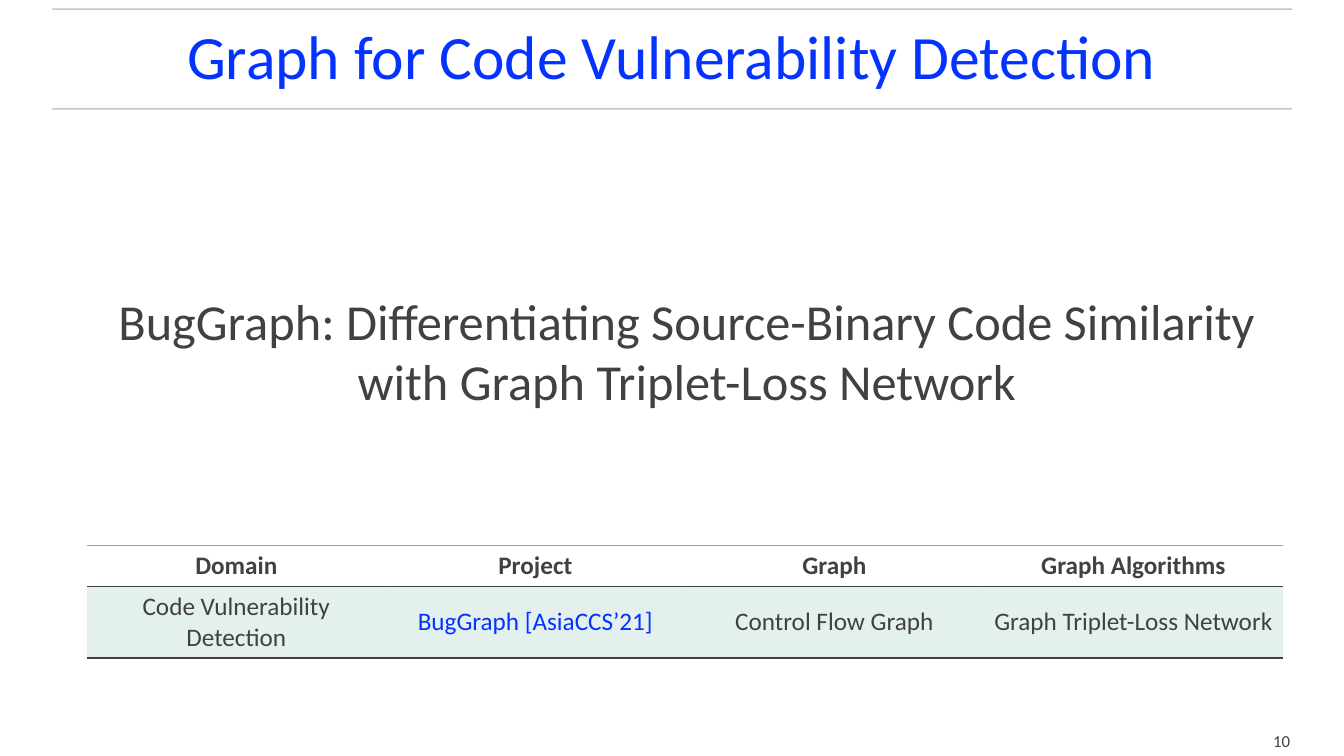
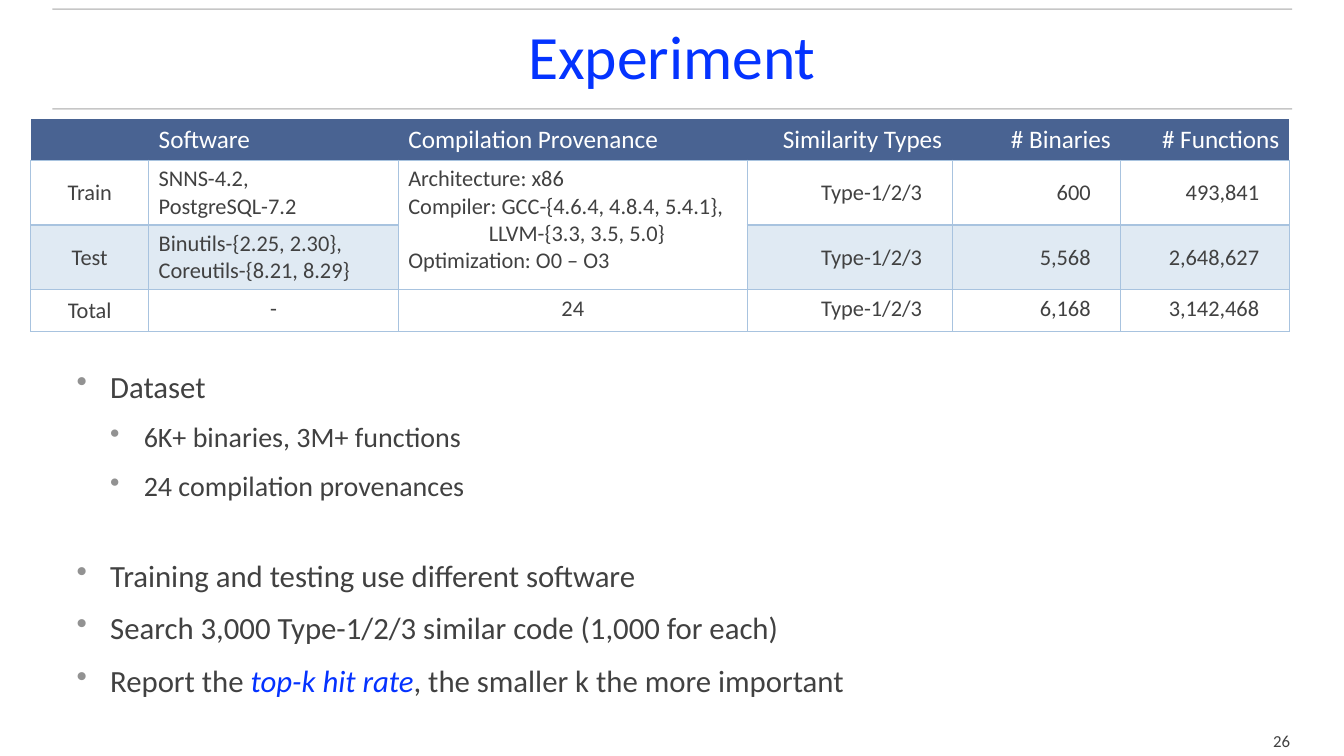
from dataclasses import dataclass
from typing import Any, NamedTuple, Optional

from lxml.etree import SubElement
from pptx import Presentation
from pptx.dml.color import RGBColor
from pptx.enum.shapes import MSO_CONNECTOR
from pptx.enum.text import MSO_ANCHOR, PP_ALIGN
from pptx.oxml.ns import qn
from pptx.util import Pt

# Shared style
FONT = "Calibri"
WHITE = RGBColor(0xFF, 0xFF, 0xFF)
TEXT = RGBColor(0x41, 0x41, 0x41)
TITLE_BLUE = RGBColor(0x04, 0x33, 0xFF)
ACCENT_BLUE = RGBColor(0x04, 0x32, 0xFF)
RULE = RGBColor(0x44, 0x44, 0x44)
BULLET = RGBColor(0x92, 0x92, 0x92)
TEAL = RGBColor(0x74, 0xB6, 0xA8)
TABLE_TOP = RGBColor(0xA0, 0xA0, 0xA0)
NAVY = RGBColor(0x49, 0x63, 0x92)
LIGHT_BLUE = RGBColor(0xA8, 0xC3, 0xDF)

SLIDE_WIDTH, SLIDE_HEIGHT = 960, 540
RULE_LEFT, RULE_RIGHT = 37.5, 923
RULE_TOPS = (6.5, 77.8)
BULLET_INDENT = 24
NO_GRID_STYLE = "{2D5ABB26-0587-4C30-8999-92F81FD0307C}"
LEFT, CENTER, RIGHT = PP_ALIGN.LEFT, PP_ALIGN.CENTER, PP_ALIGN.RIGHT
TOP, MIDDLE = MSO_ANCHOR.TOP, MSO_ANCHOR.MIDDLE


class Box(NamedTuple):
    left: float
    top: float
    width: float
    height: float


class Span(NamedTuple):
    text: str
    color: RGBColor = TEXT
    italic: bool = False


@dataclass
class Bullet:
    spans: list[Span]
    level: int = 0
    size: float = 22
    space_before: float = 11


@dataclass
class Fill:
    color: RGBColor
    opacity: int = 100


@dataclass
class Cell:
    lines: list[str]
    align: PP_ALIGN = LEFT
    anchor: MSO_ANCHOR = TOP
    size: float = 16
    color: RGBColor = TEXT
    bold: bool = False
    margin_right: float = 7.2
    indented_line: int = -1
    fill: Optional[Fill] = None
    borders: Optional[dict[str, RGBColor]] = None


TITLE_BOX = Box(37.5, 9.4, 885, 65.5)
NUMBER_BOX = Box(897.8, 517.7, 35.3, 21.6)


# Drawing helpers
def apply_format(target: Any, values: dict[str, Any]) -> None:
    for name, value in values.items():
        setattr(target, name, value)


def set_opacity(color_parent: Any, percent: int) -> None:
    color = next(color_parent.iter(qn("a:srgbClr")))
    SubElement(color, qn("a:alpha"), val=str(percent * 1000))


def add_span(paragraph: Any, span: Span, size: float, bold: bool = False) -> None:
    run = paragraph.add_run()
    run.text = span.text
    apply_format(run.font, {"name": FONT, "size": Pt(size), "bold": bold, "italic": span.italic})
    run.font.color.rgb = span.color


def add_text_frame(slide: Any, box: Box, anchor: MSO_ANCHOR, margin: float) -> Any:
    frame = slide.shapes.add_textbox(*map(Pt, box)).text_frame
    sides = ("left", "top", "right", "bottom")
    apply_format(frame, {"word_wrap": True, "vertical_anchor": anchor}
                 | {f"margin_{side}": Pt(margin) for side in sides})
    return frame


def add_centered_text(slide: Any, box: Box, span: Span, size: float,
                      anchor: MSO_ANCHOR = MIDDLE, line_spacing: float = 1.0) -> None:
    paragraph = add_text_frame(slide, box, anchor, 4).paragraphs[0]
    apply_format(paragraph, {"alignment": CENTER, "line_spacing": line_spacing})
    add_span(paragraph, span, size)


def add_rule(slide: Any, top: float) -> None:
    rule = slide.shapes.add_connector(
        MSO_CONNECTOR.STRAIGHT, Pt(RULE_LEFT), Pt(top), Pt(RULE_RIGHT), Pt(top))
    rule.line.color.rgb = RULE
    rule.line.width = Pt(1)
    properties = rule.element.spPr
    set_opacity(properties, 30)
    SubElement(properties, qn("a:effectLst"))


def add_base_slide(presentation: Any, title: str, number: str) -> Any:
    slide = presentation.slides.add_slide(presentation.slide_layouts[6])
    for top in RULE_TOPS:
        add_rule(slide, top)
    add_centered_text(slide, TITLE_BOX, Span(title, TITLE_BLUE), 44, line_spacing=0.9)
    add_centered_text(slide, NUMBER_BOX, Span(number), 12, anchor=TOP)
    return slide


def add_bullets(slide: Any, box: Box, bullets: list[Bullet]) -> None:
    frame = add_text_frame(slide, box, TOP, 4.3)
    for index, bullet in enumerate(bullets):
        paragraph = frame.add_paragraph() if index else frame.paragraphs[0]
        properties = paragraph._p.get_or_add_pPr()
        properties.set("marL", str(Pt(BULLET_INDENT * (bullet.level + 1))))
        properties.set("indent", str(-Pt(BULLET_INDENT)))
        color = SubElement(properties, qn("a:buClr"))
        SubElement(color, qn("a:srgbClr"), val=str(BULLET))
        SubElement(properties, qn("a:buChar"), char="•")
        if index:
            paragraph.space_before = Pt(bullet.space_before)
        for span in bullet.spans:
            add_span(paragraph, span, bullet.size)


def add_border(cell: Any, side: str, color: RGBColor) -> None:
    line = SubElement(cell._tc.get_or_add_tcPr(), qn(f"a:ln{side}"), w=str(Pt(1)))
    fill = SubElement(line, qn("a:solidFill"))
    SubElement(fill, qn("a:srgbClr"), val=str(color))


def fill_cell(cell: Any, content: Cell) -> None:
    apply_format(cell, {"vertical_anchor": content.anchor,
                        "margin_right": Pt(content.margin_right)})
    for side in "LRTB":
        if content.borders and side in content.borders:
            add_border(cell, side, content.borders[side])
    if content.fill:
        cell.fill.solid()
        cell.fill.fore_color.rgb = content.fill.color
        if content.fill.opacity < 100:
            set_opacity(cell._tc.tcPr.find(qn("a:solidFill")), content.fill.opacity)
    else:
        cell.fill.background()
    frame = cell.text_frame
    for index, text in enumerate(content.lines):
        paragraph = frame.add_paragraph() if index else frame.paragraphs[0]
        paragraph.alignment = content.align
        if index == content.indented_line:
            paragraph._p.get_or_add_pPr().set("marL", str(Pt(57.5)))
        add_span(paragraph, Span(text, content.color), content.size, content.bold)


def add_table(slide: Any, left: float, top: float, widths: list[float],
              heights: list[float], rows: list[list[Cell]]) -> Any:
    box = Box(left, top, sum(widths), sum(heights))
    table = slide.shapes.add_table(len(heights), len(widths), *map(Pt, box)).table
    apply_format(table, {"first_row": False, "horz_banding": False})
    table._tbl.tblPr.find(qn("a:tableStyleId")).text = NO_GRID_STYLE
    for column, width in zip(table.columns, widths):
        column.width = Pt(width)
    for row, height in zip(table.rows, heights):
        row.height = Pt(height)
    for row, contents in zip(table.rows, rows):
        for cell, content in zip(row.cells, contents):
            fill_cell(cell, content)
    return table


# Slides
def build_detection_slide(presentation: Any) -> None:
    slide = add_base_slide(presentation, "Graph for Code Vulnerability Detection", "10")
    add_centered_text(
        slide, Box(48.2, 182.2, 885, 136),
        Span("BugGraph: Differentiating Source-Binary Code Similarity "
             "with Graph Triplet-Loss Network"), 36)

    headings = ["Domain", "Project", "Graph", "Graph Algorithms"]
    values = ["Code Vulnerability Detection", "BugGraph [AsiaCCS’21]",
              "Control Flow Graph", "Graph Triplet-Loss Network"]
    header = [Cell([text], CENTER, size=18, bold=True,
                   borders={"T": TABLE_TOP, "B": TEXT}) for text in headings]
    body = [Cell([text], CENTER, MIDDLE, 18, fill=Fill(TEAL, 20),
                 borders={"T": TEXT, "B": TEXT}) for text in values]
    body[1].color = ACCENT_BLUE
    add_table(slide, 62, 389.5, [213.6] * 4, [29.5, 51], [header, body])


def build_experiment_slide(presentation: Any) -> None:
    slide = add_base_slide(presentation, "Experiment", "26")

    # Data set table
    headings = ["", "Software", "Compilation Provenance",
                "Similarity Types", "# Binaries", "# Functions"]
    header = [Cell([text] if text else [], RIGHT if column > 2 else LEFT, size=18,
                   color=WHITE, fill=Fill(NAVY)) for column, text in enumerate(headings)]
    grid = dict.fromkeys("LRTB", LIGHT_BLUE)

    def body_row(name: str, software: Cell, provenance: Cell, counts: list[str],
                 anchor: MSO_ANCHOR = MIDDLE) -> list[Cell]:
        numbers = [Cell([text], RIGHT, anchor, margin_right=21.6)
                   for text in ["Type-1/2/3", *counts]]
        row = [Cell([name], CENTER, MIDDLE), software, provenance, *numbers]
        for cell in row:
            cell.borders = grid
        return row

    provenance = Cell(["Architecture: x86", "Compiler: GCC-{4.6.4, 4.8.4, 5.4.1},",
                       "LLVM-{3.3, 3.5, 5.0}", "Optimization: O0 – O3"], indented_line=2)
    train = body_row("Train", Cell(["SNNS-4.2,", "PostgreSQL-7.2"]), provenance,
                     ["600", "493,841"])
    test = body_row("Test", Cell(["Binutils-{2.25, 2.30}, Coreutils-{8.21, 8.29}"]),
                    Cell([]), ["5,568", "2,648,627"])
    total = body_row("Total", Cell(["-"], CENTER), Cell(["24"], CENTER),
                     ["6,168", "3,142,468"], TOP)
    for column, cell in enumerate(test):
        if column != 2:
            cell.fill = Fill(LIGHT_BLUE, 35)
    table = add_table(slide, 22, 85, [84.2, 178.3, 249.3, 146.5, 120.4, 120.4],
                      [29.5, 46.3, 46.3, 29.5], [header, train, test, total])
    table.cell(1, 2).merge(table.cell(2, 2))

    # Findings
    add_bullets(slide, Box(50.4, 258, 899, 260), [
        Bullet([Span("Dataset")]),
        Bullet([Span("6K+ binaries, 3M+ functions")], level=1, size=20),
        Bullet([Span("24 compilation provenances")], level=1, size=20),
        Bullet([Span("Training and testing use different software")], space_before=39),
        Bullet([Span("Search 3,000 Type-1/2/3 similar code (1,000 for each)")]),
        Bullet([Span("Report the "), Span("top-k hit rate", ACCENT_BLUE, True),
                Span(", the smaller k the more important")]),
    ])


def main() -> None:
    presentation = Presentation()
    apply_format(presentation, {"slide_width": Pt(SLIDE_WIDTH),
                                "slide_height": Pt(SLIDE_HEIGHT)})
    build_detection_slide(presentation)
    build_experiment_slide(presentation)
    presentation.save("out.pptx")


if __name__ == "__main__":
    main()
